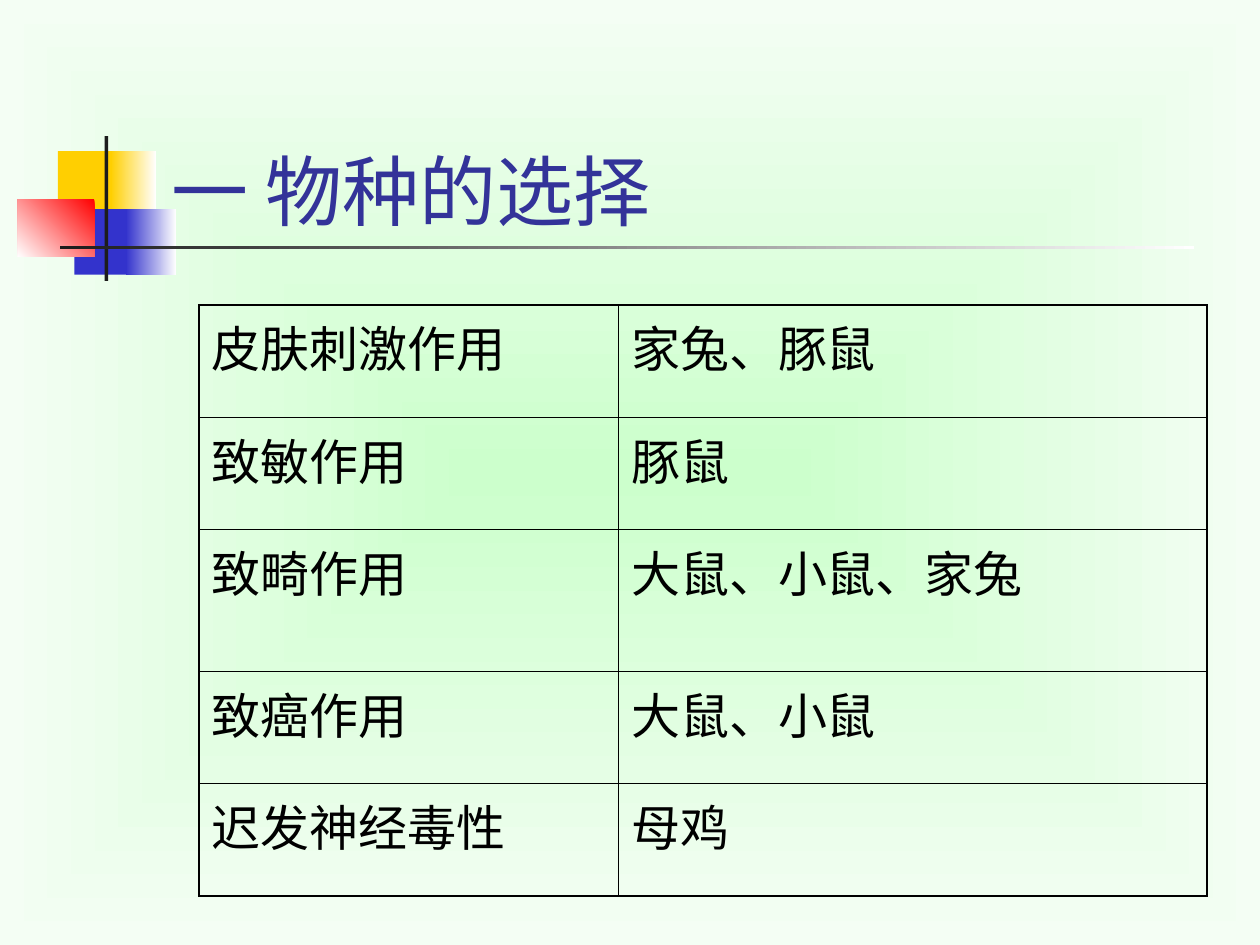
import dataclasses

import lxml.etree
import pptx
import pptx.dml.color
import pptx.enum.shapes
import pptx.enum.text
import pptx.oxml.ns
import pptx.util

Inches = pptx.util.Inches
Pt = pptx.util.Pt
qn = pptx.oxml.ns.qn


@dataclasses.dataclass(frozen=True)
class Theme:
    font: str = "Roboto"
    title_size: float = 44
    cell_size: float = 28
    outer_line: float = 1.08
    inner_line: float = 0.45
    title: str = "333399"
    text: str = "000000"
    white: str = "FFFFFF"
    yellow: str = "FFCF01"
    blue: str = "3333CC"
    red: str = "FF0000"
    dark: str = "1C1C1C"
    center: str = "CCFFCC"
    edge: str = "F4FEF4"


THEME = Theme()

DECORATIONS = [
    ((0.46, 1.2, 0.48, 0.52), (THEME.yellow,), 0),
    ((0.88, 1.2, 0.36, 0.52), (THEME.white, THEME.yellow), 180),
    ((0.59, 1.66, 0.46, 0.52), (THEME.blue,), 0),
    ((1, 1.66, 0.4, 0.52), (THEME.white, THEME.blue), 180),
    ((0.14, 1.58, 0.61, 0.46), (THEME.red, THEME.white), 225),
    ((0.83, 1.08, 0.03, 1.15), (THEME.dark,), 0),
    ((0.48, 1.95, 9, 0.03), (THEME.white, THEME.dark), 180),
]

SPECIES = [
    ("皮肤刺激作用", "家兔、豚鼠"),
    ("致敏作用", "豚鼠"),
    ("致畸作用", "大鼠、小鼠、家兔"),
    ("致癌作用", "大鼠、小鼠"),
    ("迟发神经毒性", "母鸡"),
]
COLUMN_WIDTHS = [3.33, 4.67]
ROW_HEIGHTS = [0.89, 0.89, 1.13, 0.89, 0.89]


def rgb(color):
    return pptx.dml.color.RGBColor.from_string(color)


def set_gradient(fill, colors):
    fill.gradient()
    for stop, color in zip(fill.gradient_stops, colors):
        stop.color.rgb = rgb(color)


def set_background(slide):
    set_gradient(slide.background.fill, (THEME.center, THEME.edge))
    linear = next(slide.element.iter(qn("a:lin")))
    radial = lxml.etree.Element(qn("a:path"), path="rect")
    lxml.etree.SubElement(
        radial, qn("a:fillToRect"), l="50000", t="50000", r="50000", b="50000"
    )
    linear.getparent().replace(linear, radial)


def add_block(slide, box, colors, angle):
    shape = slide.shapes.add_shape(
        pptx.enum.shapes.MSO_SHAPE.RECTANGLE, *map(Inches, box)
    )
    shape.shadow.inherit = False
    shape.line.fill.background()
    if len(colors) == 1:
        shape.fill.solid()
        shape.fill.fore_color.rgb = rgb(colors[0])
    else:
        set_gradient(shape.fill, colors)
        shape.fill.gradient_angle = angle


def write_text(text_frame, text, *, size, color):
    paragraph = text_frame.paragraphs[0]
    paragraph.alignment = pptx.enum.text.PP_ALIGN.LEFT
    run = paragraph.add_run()
    run.text = text
    run.font.name = THEME.font
    run.font.size = Pt(size)
    run.font.color.rgb = rgb(color)


def set_title(slide, text):
    title = slide.shapes.title
    title.left, title.top = Inches(1.26), Inches(0.67)
    title.width, title.height = Inches(8.52), Inches(1.25)
    text_frame = title.text_frame
    text_frame.auto_size = pptx.enum.text.MSO_AUTO_SIZE.NONE
    text_frame.vertical_anchor = pptx.enum.text.MSO_ANCHOR.BOTTOM
    write_text(text_frame, text, size=THEME.title_size, color=THEME.title)


def set_borders(cell, outer_sides):
    properties = cell._tc.get_or_add_tcPr()
    for side, is_outer in outer_sides.items():
        width = THEME.outer_line if is_outer else THEME.inner_line
        line = lxml.etree.SubElement(properties, qn(f"a:ln{side}"), w=str(Pt(width)))
        solid = lxml.etree.SubElement(line, qn("a:solidFill"))
        lxml.etree.SubElement(solid, qn("a:srgbClr"), val=THEME.text)


def add_species_table(slide):
    last_row, last_column = len(SPECIES) - 1, len(COLUMN_WIDTHS) - 1
    frame = slide.shapes.add_table(
        len(SPECIES), len(COLUMN_WIDTHS), Inches(1.58), Inches(2.42),
        Inches(sum(COLUMN_WIDTHS)), Inches(sum(ROW_HEIGHTS)),
    )
    table = frame.table
    table.first_row = False
    table.horz_banding = False
    for column, width in zip(table.columns, COLUMN_WIDTHS):
        column.width = Inches(width)
    for row, height in zip(table.rows, ROW_HEIGHTS):
        row.height = Inches(height)
    for row_index, texts in enumerate(SPECIES):
        for column_index, text in enumerate(texts):
            cell = table.cell(row_index, column_index)
            set_borders(cell, {
                "L": column_index == 0,
                "R": column_index == last_column,
                "T": row_index == 0,
                "B": row_index == last_row,
            })
            cell.fill.background()
            write_text(
                cell.text_frame, text, size=THEME.cell_size, color=THEME.text
            )


def main():
    presentation = pptx.Presentation()
    presentation.slide_width = Inches(10)
    presentation.slide_height = Inches(7.5)
    slide = presentation.slides.add_slide(
        presentation.slide_layouts.get_by_name("Title Only")
    )
    set_background(slide)
    for box, colors, angle in DECORATIONS:
        add_block(slide, box, colors, angle)
    set_title(slide, "一 物种的选择")
    add_species_table(slide)
    presentation.save("out.pptx")


if __name__ == "__main__":
    main()
